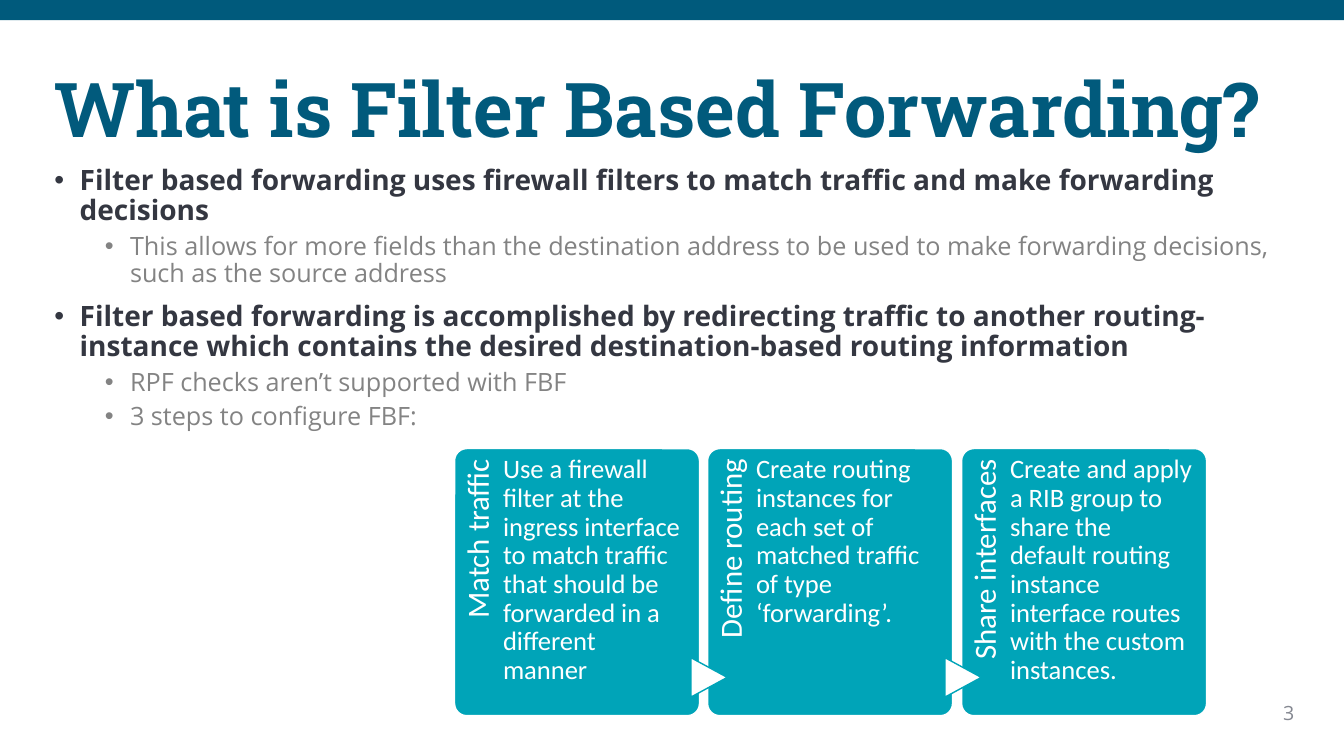
from lxml.etree import SubElement
from pptx import Presentation
from pptx.dml.color import RGBColor
from pptx.enum.shapes import MSO_SHAPE
from pptx.enum.text import MSO_ANCHOR, MSO_AUTO_SIZE, PP_ALIGN
from pptx.oxml.ns import qn
from pptx.util import Pt

PX = 9144  # EMU, 100 px to the inch
TEAL, WHITE = "00A4B8", "FFFFFF"


def color(hex_string):
    return RGBColor.from_string(hex_string)


def write(shape, paragraphs, box, font, insets=(10, 5, 10, 5), anchor=MSO_ANCHOR.TOP):
    """Place the shape and fill it with (text, size, colour, bold, format) paragraphs."""
    shape.left, shape.top, shape.width, shape.height = (length * PX for length in box)
    frame = shape.text_frame
    frame.word_wrap = True
    frame.auto_size = MSO_AUTO_SIZE.NONE
    frame.vertical_anchor = anchor
    for side, inset in zip(("left", "top", "right", "bottom"), insets):
        setattr(frame, f"margin_{side}", inset * PX)
    for index, (text, size, hex_string, bold, paragraph_format) in enumerate(paragraphs):
        paragraph = frame.add_paragraph() if index else frame.paragraphs[0]
        for name, value in paragraph_format.items():
            setattr(paragraph, name, value)
        run = paragraph.add_run()
        run.text = text
        for name, value in {"name": font, "size": Pt(size), "bold": bold}.items():
            setattr(run.font, name, value)
        run.font.color.rgb = color(hex_string)


presentation = Presentation()
presentation.slide_width = 13333 * PX // 10
presentation.slide_height = 750 * PX
slide = presentation.slides.add_slide(presentation.slide_layouts[1])
shapes = slide.shapes

# Top band and page number
band = shapes.add_shape(MSO_SHAPE.RECTANGLE, 0, 0, presentation.slide_width, 20 * PX)
band.shadow.inherit = False
band.fill.solid()
band.fill.fore_color.rgb = color("005A7C")
band.line.fill.background()
write(shapes.add_textbox(0, 0, 0, 0),
      [("3", 14, "858891", False, {"alignment": PP_ALIGN.RIGHT})],
      (1230, 690, 64, 34), "Open Sans")

# Title and bullet list
write(shapes.title,
      [("What is Filter Based Forwarding?", 54, "015A7C", True,
        {"alignment": PP_ALIGN.LEFT, "line_spacing": 0.9})],
      (44, 40, 1273, 145), "Roboto Slab", anchor=MSO_ANCHOR.MIDDLE)

point_style = (20, "343741", True, {"level": 0, "line_spacing": 0.9, "space_before": Pt(10)})
detail_style = (18, "838383", False, {"level": 1, "line_spacing": 0.9, "space_before": Pt(5)})
bullets = [
    ("Filter based forwarding uses firewall filters to match traffic and make forwarding "
     "decisions", *point_style),
    ("This allows for more fields than the destination address to be used to make "
     "forwarding decisions, such as the source address", *detail_style),
    ("Filter based forwarding is accomplished by redirecting traffic to another "
     "routing-instance which contains the desired destination-based routing information",
     *point_style),
    ("RPF checks aren’t supported with FBF", *detail_style),
    ("3 steps to configure FBF:", *detail_style),
]
body = slide.placeholders[1]
write(body, bullets, (44, 160, 1236, 293), "Open Sans")
for paragraph in body.text_frame.paragraphs:
    properties = paragraph._p.get_or_add_pPr()
    properties.set("marL", str((25 + 50 * paragraph.level) * PX))
    properties.set("indent", str(-25 * PX))
    SubElement(properties, qn("a:buChar")).set("char", "•")

# Three steps, joined by arrowheads
steps = [
    ("Match traffic", "Use a firewall filter at the ingress interface to match traffic "
     "that should be forwarded in a different manner"),
    ("Define routing", "Create routing instances for each set of matched traffic of type "
     "‘forwarding’."),
    ("Share interfaces", "Create and apply a RIB group to share the default routing "
     "instance interface routes with the custom instances."),
]
for index, (caption, description) in enumerate(steps):
    left = 451 + index * 503 // 2
    card = shapes.add_shape(MSO_SHAPE.ROUNDED_RECTANGLE, left * PX, 445 * PX, 243 * PX, 265 * PX)
    card.adjustments[0] = 0.05
    outlines = [(card, TEAL, WHITE)]
    if index:
        arrow = shapes.add_shape(MSO_SHAPE.FLOWCHART_EXTRACT,
                                 (left - 18) * PX, 654 * PX, 39 * PX, 36 * PX)
        arrow.rotation = 90
        outlines.append((arrow, WHITE, TEAL))
    for shape, fill, line in outlines:
        shape.shadow.inherit = False
        shape.fill.solid()
        shape.fill.fore_color.rgb = color(fill)
        shape.line.color.rgb = color(line)
        shape.line.width = Pt(1)

    label = shapes.add_textbox(0, 0, 0, 0)
    write(label, [(caption, 22, WHITE, False,
                   {"alignment": PP_ALIGN.RIGHT, "line_spacing": 0.9})],
          (left - 85, 529, 218, 49), "Calibri", (0, 8, 11, 0))
    label.rotation = 270
    write(shapes.add_textbox(0, 0, 0, 0),
          [(description, 19, WHITE, False, {"line_spacing": 0.9})],
          (left + 48, 445, 181, 265), "Calibri", (0, 7, 0, 0))

presentation.save("out.pptx")
